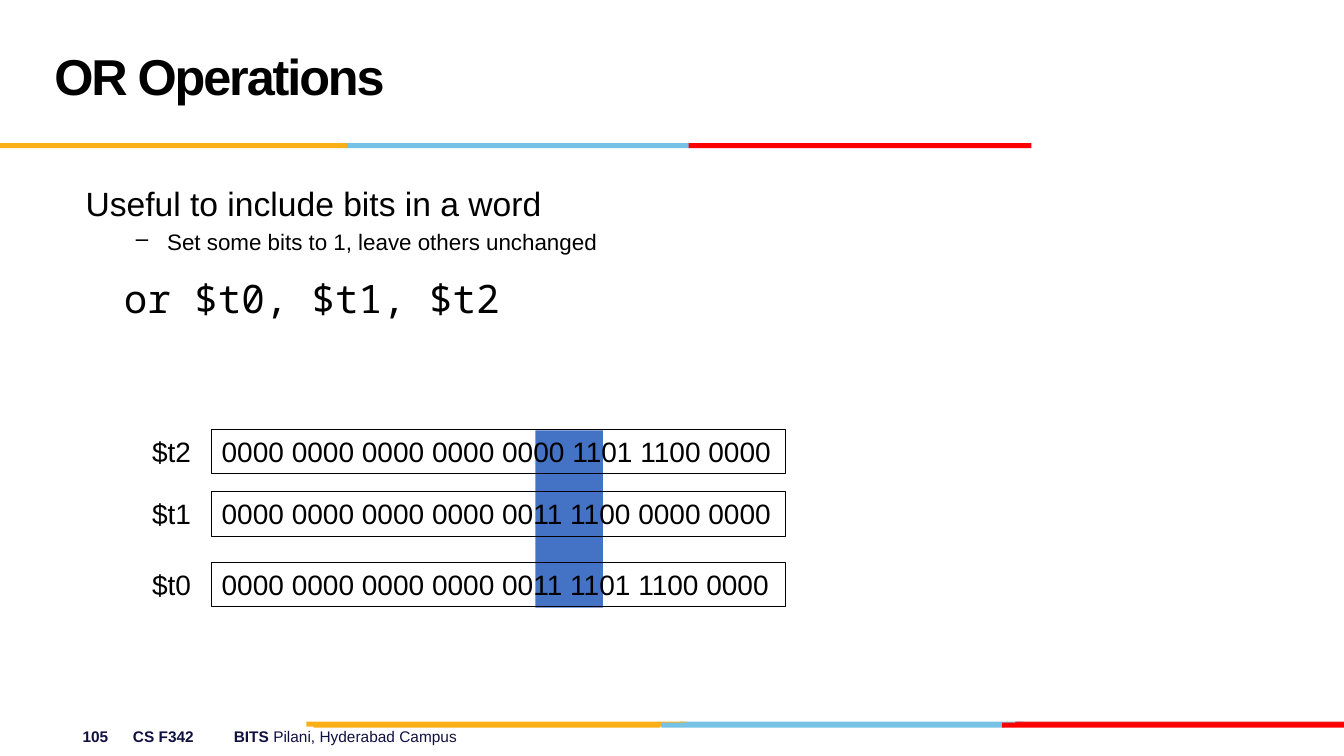
from dataclasses import dataclass, field
from typing import Any

from lxml import etree
from pptx import Presentation
from pptx.dml.color import RGBColor
from pptx.enum.shapes import MSO_SHAPE
from pptx.enum.text import MSO_ANCHOR, MSO_AUTO_SIZE, PP_ALIGN
from pptx.oxml.ns import qn
from pptx.util import Inches, Pt

RECTANGLE = MSO_SHAPE.RECTANGLE
TOP, MIDDLE = MSO_ANCHOR.TOP, MSO_ANCHOR.MIDDLE
LEFT = PP_ALIGN.LEFT
GROW, FIXED = MSO_AUTO_SIZE.SHAPE_TO_FIT_TEXT, MSO_AUTO_SIZE.NONE


@dataclass(frozen=True)
class Theme:
    sans: str = "Arial"
    mono: str = "Noto Sans Mono"
    black: str = "000000"
    navy: str = "101141"
    gold: str = "FCB017"
    sky: str = "76C2E5"
    crimson: str = "E31C24"
    red: str = "FF0000"
    blue: str = "4472C4"
    title: int = 36
    code: int = 28
    lead: int = 24
    bits: int = 20
    detail: int = 16
    footer: int = 11


THEME = Theme()


@dataclass(frozen=True)
class Area:
    left: float
    top: float
    width: float
    height: float

    def inches(self) -> list[int]:
        return [Inches(side) for side in (self.left, self.top, self.width, self.height)]


@dataclass(frozen=True)
class Bar:
    area: Area
    color: str


@dataclass(frozen=True)
class Span:
    text: str
    size: int
    font: str = THEME.sans
    color: str = THEME.black
    bold: bool = False
    tracking: float = 0


@dataclass(frozen=True)
class Para:
    spans: list[Span]
    layout: dict[str, Any] = field(default_factory=dict)
    margin: float = 0
    indent: float = 0
    bullet: str = ""
    tabs: tuple[float, ...] = ()


@dataclass(frozen=True)
class Register:
    name: str
    bits: str
    top: float


STRIPE = 0.05
BARS = [
    Bar(Area(left, top, width, STRIPE), color)
    for left, top, width, color in (
        (6.75, 7.16, 3.4, THEME.sky),
        (10.07, 7.16, 3.26, THEME.crimson),
        (3.04, 7.16, 3.76, THEME.gold),
        (6.56, 7.17, 3.4, THEME.sky),
        (3.11, 7.17, 3.44, THEME.gold),
        (9.94, 7.17, 3.39, THEME.red),
        (3.44, 1.42, 3.4, THEME.sky),
        (0, 1.42, 3.44, THEME.gold),
        (6.83, 1.42, 3.4, THEME.red),
    )
]
HIGHLIGHT = Bar(Area(5.31, 4.27, 0.67, 1.76), THEME.blue)
REGISTERS = [
    Register("$t2", "0000 0000 0000 0000 0000 1101 1100 0000", 4.26),
    Register("$t1", "0000 0000 0000 0000 0011 1100 0000 0000", 4.88),
    Register("$t0", "0000 0000 0000 0000 0011 1101 1100 0000", 5.58),
]
FOOTER = Para(
    [
        Span("\t105\tCS F342\tBITS ", THEME.footer, color=THEME.navy, bold=True),
        Span("Pilani, Hyderabad Campus", THEME.footer, color=THEME.navy),
    ],
    tabs=(3.78, 8.78, 10.69),
)
TITLE = Para(
    [Span("OR Operations", THEME.title, bold=True, tracking=-1.5)],
    {"line_spacing": Pt(36)},
)
BODY = [
    Para([Span("Useful to include bits in a word", THEME.lead)], margin=0.38, indent=-0.38),
    Para(
        [Span("Set some bits to 1, leave others unchanged", THEME.detail)],
        {"level": 1, "space_before": Pt(3.2)},
        margin=0.81,
        indent=-0.31,
        bullet="–",
    ),
    Para(
        [Span("or $t0, $t1, $t2", THEME.code, THEME.mono)],
        {"space_before": Pt(14), "space_after": Pt(8.4)},
        margin=0.38,
    ),
]


def apply(target: Any, values: dict[str, Any]) -> None:
    for name, value in values.items():
        setattr(target, name, value)


def write(shape: Any, paras: list[Para], **frame_format: Any) -> None:
    frame = shape.text_frame
    defaults = {"word_wrap": True, "auto_size": FIXED, "vertical_anchor": TOP}
    apply(frame, defaults | frame_format)
    for index, para in enumerate(paras):
        line = frame.add_paragraph() if index else frame.paragraphs[0]
        apply(line, {"alignment": LEFT} | para.layout)
        properties = line._p.get_or_add_pPr()
        properties.set("marL", str(Inches(para.margin)))
        properties.set("indent", str(Inches(para.indent)))
        if para.bullet:
            etree.SubElement(properties, qn("a:buChar"), char=para.bullet)
        if para.tabs:
            stops = etree.SubElement(properties, qn("a:tabLst"))
            for stop in para.tabs:
                etree.SubElement(stops, qn("a:tab"), pos=str(Inches(stop)), algn="l")
        for span in para.spans:
            run = line.add_run()
            run.text = span.text
            apply(run.font, {"name": span.font, "size": Pt(span.size), "bold": span.bold})
            run.font.color.rgb = RGBColor.from_string(span.color)
            if span.tracking:
                run._r.get_or_add_rPr().set("spc", str(round(span.tracking * 100)))


def add_text(page: Any, area: Area, paras: list[Para], **frame_format: Any) -> None:
    write(page.shapes.add_textbox(*area.inches()), paras, **frame_format)


def add_bar(page: Any, bar: Bar) -> None:
    box = page.shapes.add_shape(RECTANGLE, *bar.area.inches())
    box.shadow.inherit = False
    box.fill.solid()
    box.fill.fore_color.rgb = RGBColor.from_string(bar.color)
    box.line.fill.background()


def add_register(page: Any, register: Register) -> None:
    fit = {"word_wrap": False, "auto_size": GROW}
    box = page.shapes.add_shape(RECTANGLE, *Area(2.1, register.top, 5.69, 0.44).inches())
    box.shadow.inherit = False
    box.fill.background()
    box.line.color.rgb = RGBColor.from_string(THEME.black)
    box.line.width = Pt(0.75)
    write(box, [Para([Span(register.bits, THEME.bits)])], **fit)
    label = Para([Span(register.name, THEME.bits)])
    add_text(page, Area(1.41, register.top, 0.59, 0.43), [label], **fit)


def main() -> None:
    deck = Presentation()
    apply(deck, {"slide_width": Inches(13.33), "slide_height": Inches(7.5)})
    page = deck.slides.add_slide(deck.slide_layouts[6])
    add_text(page, Area(0.22, 7.16, 13.11, 0.29), [FOOTER], margin_right=0)
    for bar in BARS:
        add_bar(page, bar)
    add_text(page, Area(0.44, 0.17, 9.22, 1.25), [TITLE], vertical_anchor=MIDDLE)
    add_bar(page, HIGHLIGHT)
    add_text(page, Area(0.75, 1.77, 9.05, 2.27), BODY)
    for register in REGISTERS:
        add_register(page, register)
    deck.save("out.pptx")


if __name__ == "__main__":
    main()
